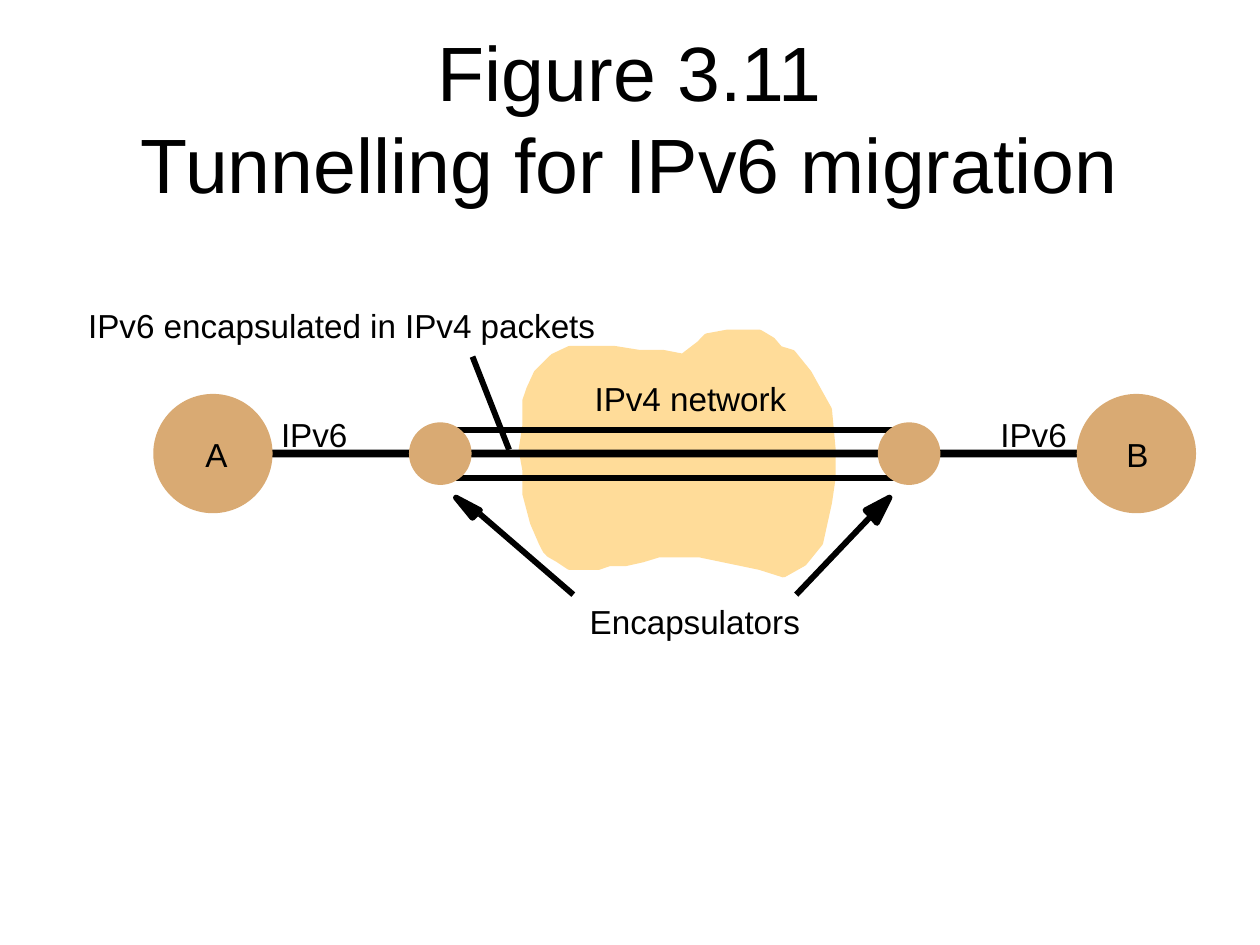
import pptx
import pptx.dml.color
import pptx.enum.shapes
import pptx.enum.text
import pptx.oxml.ns
import pptx.util
from lxml import etree

Pt = pptx.util.Pt
SHAPE = pptx.enum.shapes.MSO_SHAPE
COLOURS = {"ink": "000000", "node": "D9AA73", "cloud": "FFDC99"}
STROKE = 3.38

deck = pptx.Presentation()
deck.slide_width, deck.slide_height = Pt(720), Pt(540)
slide = deck.slides.add_slide(deck.slide_layouts[6])
shapes = slide.shapes


def add_text(text, left, top, width, height=22.8, size=19, align="LEFT", anchor="TOP", wrap=False):
    box = shapes.add_textbox(Pt(left), Pt(top), Pt(width), Pt(height))
    frame = box.text_frame
    frame.margin_left = frame.margin_right = frame.margin_top = frame.margin_bottom = 0
    frame.word_wrap = wrap
    frame.vertical_anchor = getattr(pptx.enum.text.MSO_ANCHOR, anchor)
    paragraph = frame.paragraphs[0]
    paragraph.text = text
    paragraph.alignment = getattr(pptx.enum.text.PP_ALIGN, align)
    for run in paragraph.runs:
        run.font.name = "Arial"
        run.font.size = Pt(size)
        run.font.color.rgb = pptx.dml.color.RGBColor.from_string(COLOURS["ink"])


def paint(shape, colour, outlined=True):
    """Give a closed shape one colour for its fill and its outline."""
    rgb = pptx.dml.color.RGBColor.from_string(COLOURS[colour])
    shape.shadow.inherit = False
    shape.fill.solid()
    shape.fill.fore_color.rgb = rgb
    if outlined:
        shape.line.color.rgb = rgb
        shape.line.width = Pt(STROKE)
    else:
        shape.line.fill.background()


add_text("Figure 3.11\vTunnelling for IPv6 migration", 36, 21.6, 648, height=90,
         size=44, align="CENTER", anchor="MIDDLE", wrap=True)

# The IPv4 cloud and the two arrowheads that point at the encapsulators
cloud = [
    (302.4, 222.5), (306.7, 213.1), (316.1, 203.8), (325.4, 199.4), (351.4, 199.4),
    (365, 201.6), (378.7, 201.6), (390.2, 203.8), (399.6, 196.6), (403.9, 192.2),
    (415.4, 190.1), (434.2, 190.1), (441.4, 194.4), (445.7, 199.4), (452.9, 201.6),
    (462.2, 213.1), (473.8, 234), (475.9, 257), (475.9, 272.9), (473.8, 287.3),
    (468.7, 310.3), (459.4, 321.8), (447.8, 328.3), (434.2, 324), (399.6, 316.8),
    (376.6, 316.8), (367.2, 319.7), (357.8, 321.8), (348.5, 321.8), (342, 324),
    (325.4, 324), (319, 319.7), (313.9, 316.8), (311.8, 314.6), (309.6, 310.3),
    (304.6, 298.8), (300.2, 282.2), (300.2, 268.6), (298.1, 257), (300.2, 243.4),
    (300.2, 229),
]
left_head = [(272.2, 293.8), (270, 295.9), (260.6, 284.4), (274.3, 291.6)]
right_head = [(496.8, 293.8), (494.6, 291.6), (508.3, 284.4), (501.1, 298.8)]
for outline, colour in ((cloud, "cloud"), (left_head, "ink"), (right_head, "ink")):
    corners = [(Pt(x), Pt(y)) for x, y in outline]
    builder = shapes.build_freeform(*corners[0])
    builder.add_line_segments(corners[1:], close=True)
    paint(builder.convert_to_shape(), colour)

# Tunnel walls, pointer to the tunnel, and arrow shafts
for x1, y1, x2, y2 in (
    (254.2, 245.5, 522, 245.5),
    (254.2, 273.2, 522, 273.2),
    (270, 203.8, 290.9, 257),
    (274.3, 293.8, 327.6, 339.8),
    (496.8, 295.9, 455, 339.8),
):
    stroke = shapes.add_connector(pptx.enum.shapes.MSO_CONNECTOR.STRAIGHT,
                                  Pt(x1), Pt(y1), Pt(x2), Pt(y2))
    stroke.line.color.rgb = pptx.dml.color.RGBColor.from_string(COLOURS["ink"])
    stroke.line.width = Pt(STROKE)
    properties = stroke._element.find(pptx.oxml.ns.qn("p:spPr"))
    etree.SubElement(properties, pptx.oxml.ns.qn("a:effectLst"))

link = shapes.add_shape(SHAPE.RECTANGLE, Pt(138.2), Pt(257), Pt(501.8), Pt(4.4))
paint(link, "ink", outlined=False)

# Hosts A and B, with an encapsulator next to each
axis = 259.2
for centre, diameter in ((121.7, 64.8), (649.4, 64.8), (251.6, 32.4), (519.5, 32.4)):
    node = shapes.add_shape(SHAPE.OVAL, Pt(centre - diameter / 2), Pt(axis - diameter / 2),
                            Pt(diameter), Pt(diameter))
    paint(node, "node")

for label, left, top, width in (
    ("A", 117.4, 248.4, 13),
    ("B", 643.7, 248.4, 13),
    ("IPv6", 160.6, 236.9, 38.2),
    ("IPv6", 571.7, 236.9, 38.2),
    ("IPv6 encapsulated in IPv4 packets", 50.4, 174.2, 290.2),
    ("IPv4 network", 339.8, 216, 110.2),
    ("Encapsulators", 337, 343.4, 120.2),
):
    add_text(label, left, top, width)

deck.save("out.pptx")
